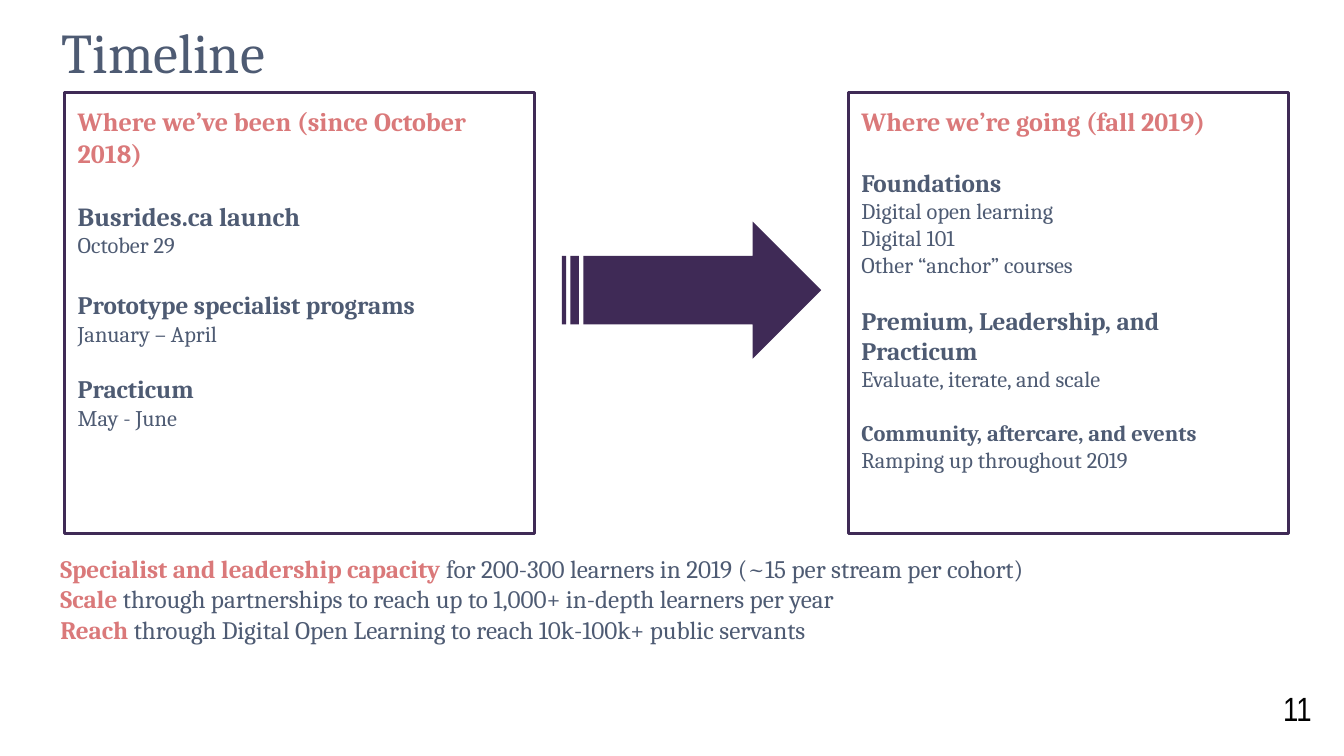
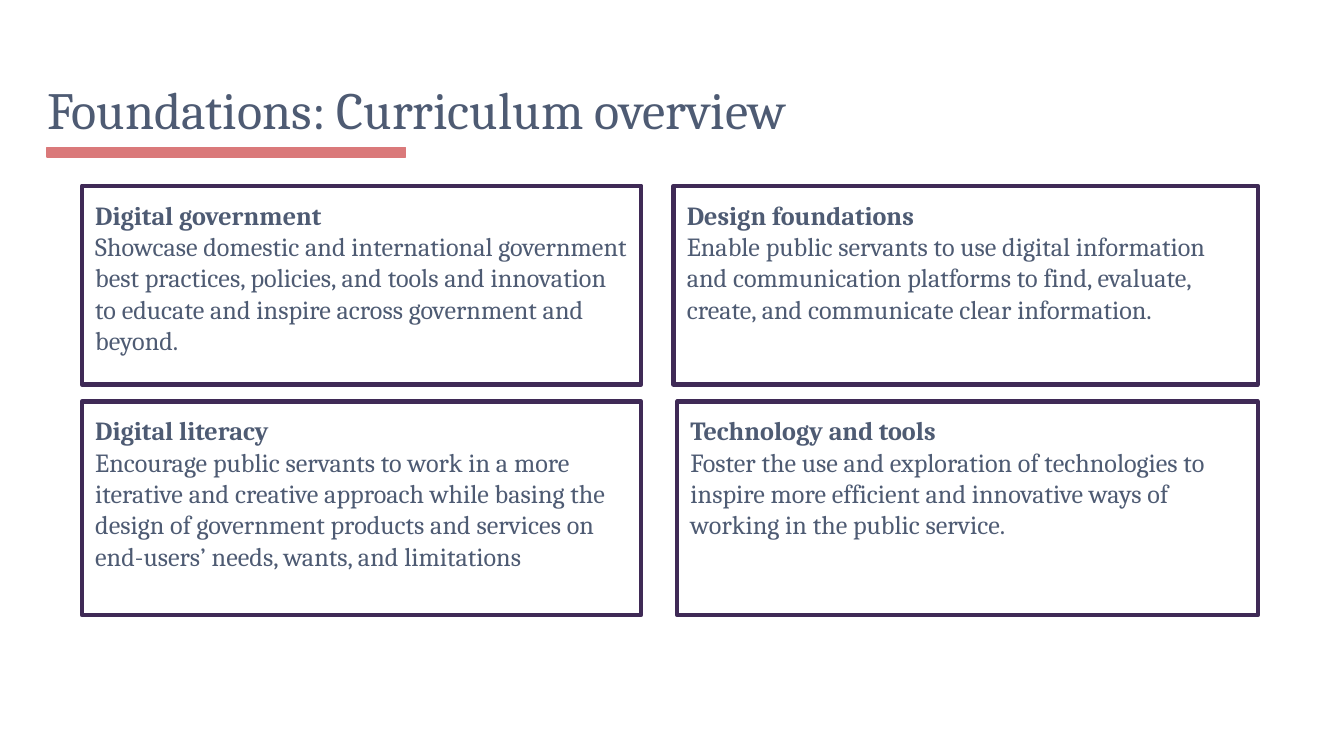
from pptx import Presentation
from pptx.dml.color import RGBColor
from pptx.enum.shapes import MSO_SHAPE
from pptx.enum.text import MSO_ANCHOR, PP_ALIGN
from pptx.util import Cm, Pt

COLORS = {"slate": "4E5B73", "coral": "DA797A", "plum": "3F2A56", "black": "000000"}
SERIF = "Cambria"
NUMBER_FONT = "Arial Narrow"
INSET = 0.25
LINE_HEIGHT = 1.2

# Each line: text, size, bold, colour, size of the empty line above it
PAST = [
    ("Where we’ve been (since October 2018)", 14, True, "coral", 0),
    ("Busrides.ca launch", 14, True, "slate", 14),
    ("October 29", 12, False, "slate", 0),
    ("Prototype specialist programs", 13.5, True, "slate", 14),
    ("January – April", 12, False, "slate", 0),
    ("Practicum", 13.5, True, "slate", 12),
    ("May - June", 12, False, "slate", 0),
]
FUTURE = [
    ("Where we’re going (fall 2019)", 14, True, "coral", 0),
    ("Foundations", 13.5, True, "slate", 13.5),
    ("Digital open learning", 12, False, "slate", 0),
    ("Digital 101", 12, False, "slate", 0),
    ("Other “anchor” courses", 12, False, "slate", 0),
    ("Premium, Leadership, and Practicum", 13.5, True, "slate", 12),
    ("Evaluate, iterate, and scale", 12, False, "slate", 0),
    ("Community, aftercare, and events", 12, True, "slate", 12),
    ("Ramping up throughout 2019", 12, False, "slate", 0),
]
GOALS = [
    ("Specialist and leadership capacity ",
     "for 200-300 learners in 2019 (~15 per stream per cohort)"),
    ("Scale ", "through partnerships to reach up to 1,000+ in-depth learners per year"),
    ("Reach ", "through Digital Open Learning to reach 10k-100k+ public servants"),
]
STREAMS = [
    [("Digital government",
      "Showcase domestic and international government best practices, policies, and tools "
      "and innovation to educate and inspire across government and beyond."),
     ("Design foundations",
      "Enable public servants to use digital information and communication platforms to "
      "find, evaluate, create, and communicate clear information.")],
    [("Digital literacy",
      "Encourage public servants to work in a more iterative and creative approach while "
      "basing the design of government products and services on end-users’ needs, wants, "
      "and limitations"),
     ("Technology and tools",
      "Foster the use and exploration of technologies to inspire more efficient and "
      "innovative ways of working in the public service.")],
]


def color(name):
    return RGBColor.from_string(COLORS[name])


def style(font, size, bold=False, tint="slate", face=SERIF):
    font.name, font.size, font.bold = face, Pt(size), bold
    font.color.rgb = color(tint)


def paragraphs(frame, count):
    return [frame.paragraphs[0]] + [frame.add_paragraph() for _ in range(count - 1)]


def add_text(slide, place, inset_x=INSET, inset_y=INSET / 2):
    frame = slide.shapes.add_textbox(*map(Cm, place)).text_frame
    frame.word_wrap = True
    frame.margin_left = frame.margin_right = Cm(inset_x)
    frame.margin_top = frame.margin_bottom = Cm(inset_y)
    return frame


def add_title(slide, text, place, size, **insets):
    frame = add_text(slide, place, **insets)
    frame.text = text
    style(frame.paragraphs[0].runs[0].font, size)
    return frame


def add_block(slide, kind, place, fill=None, line=None, weight=0.75):
    block = slide.shapes.add_shape(kind, *map(Cm, place))
    block.shadow.inherit = False
    if fill:
        block.fill.solid()
        block.fill.fore_color.rgb = color(fill)
    else:
        block.fill.background()
    if line:
        block.line.color.rgb = color(line)
        block.line.width = Pt(weight)
    else:
        block.line.fill.background()
    return block


def add_panel(slide, place, lines, weight):
    panel = add_block(slide, MSO_SHAPE.RECTANGLE, place, line="plum", weight=weight)
    frame = panel.text_frame
    frame.word_wrap = True
    frame.vertical_anchor = MSO_ANCHOR.TOP
    frame.margin_left = frame.margin_right = Cm(INSET)
    frame.margin_top = frame.margin_bottom = Cm(INSET)
    for paragraph, (text, size, bold, tint, gap) in zip(paragraphs(frame, len(lines)), lines):
        paragraph.text = text
        paragraph.alignment = PP_ALIGN.LEFT
        if gap:
            paragraph.space_before = Pt(gap * LINE_HEIGHT)
        style(paragraph.runs[0].font, size, bold, tint)


def build_timeline(slide):
    goals = add_text(slide, (0.89, 10.34, 23.83, 2.06))
    for paragraph, (lead, rest) in zip(paragraphs(goals, len(GOALS)), GOALS):
        for text, bold, tint in ((lead, True, "coral"), (rest, False, "slate")):
            run = paragraph.add_run()
            run.text = text
            style(run.font, 13.5, bold, tint)

    add_title(slide, "Timeline", (0.91, 0.2, 19.41, 1.55), 30)

    number = add_text(slide, (23.67, 12.88, 1.37, 1.02))
    number.text = "11"
    number.paragraphs[0].alignment = PP_ALIGN.RIGHT
    style(number.paragraphs[0].runs[0].font, 18, tint="black", face=NUMBER_FONT)

    top, side = 1.75, 8.33
    past_left, past_width, future_left = 1.22, 8.89, 16.03
    add_panel(slide, (past_left, top, past_width, side), PAST, 1.5)
    add_panel(slide, (future_left, top, side, side), FUTURE, 1.5)

    arrow_width = 4.9
    arrow_left = (past_left + past_width + future_left - arrow_width) / 2
    add_block(slide, MSO_SHAPE.STRIPED_RIGHT_ARROW, (arrow_left, 4.19, arrow_width, 2.59),
              fill="plum")


def build_curriculum(slide):
    title = add_title(slide, "Foundations: Curriculum overview", (0.89, 0.41, 23.62, 2.26), 28,
                      inset_x=0, inset_y=0)
    title.vertical_anchor = MSO_ANCHOR.BOTTOM
    title.paragraphs[0].line_spacing = 0.9
    add_block(slide, MSO_SHAPE.RECTANGLE, (0.89, 2.79, 6.78, 0.18), fill="coral", line="coral")

    left, left_width, right_edge = 1.55, 10.57, 23.77
    rows = [(3.51, 3.76, 12.73), (7.59, 4.04, 12.8)]
    for (top, height, right), streams in zip(rows, STREAMS):
        columns = [(left, left_width), (right, right_edge - right)]
        for (x, width), (name, aim) in zip(columns, streams):
            lines = [(name, 14, True, "slate", 0), (aim, 14, False, "slate", 0)]
            add_panel(slide, (x, top, width, height), lines, 2.25)


def main():
    deck = Presentation()
    deck.slide_width, deck.slide_height = Cm(25.4), Cm(14.29)
    for build in (build_timeline, build_curriculum):
        build(deck.slides.add_slide(deck.slide_layouts[6]))
    deck.save("out.pptx")


if __name__ == "__main__":
    main()
